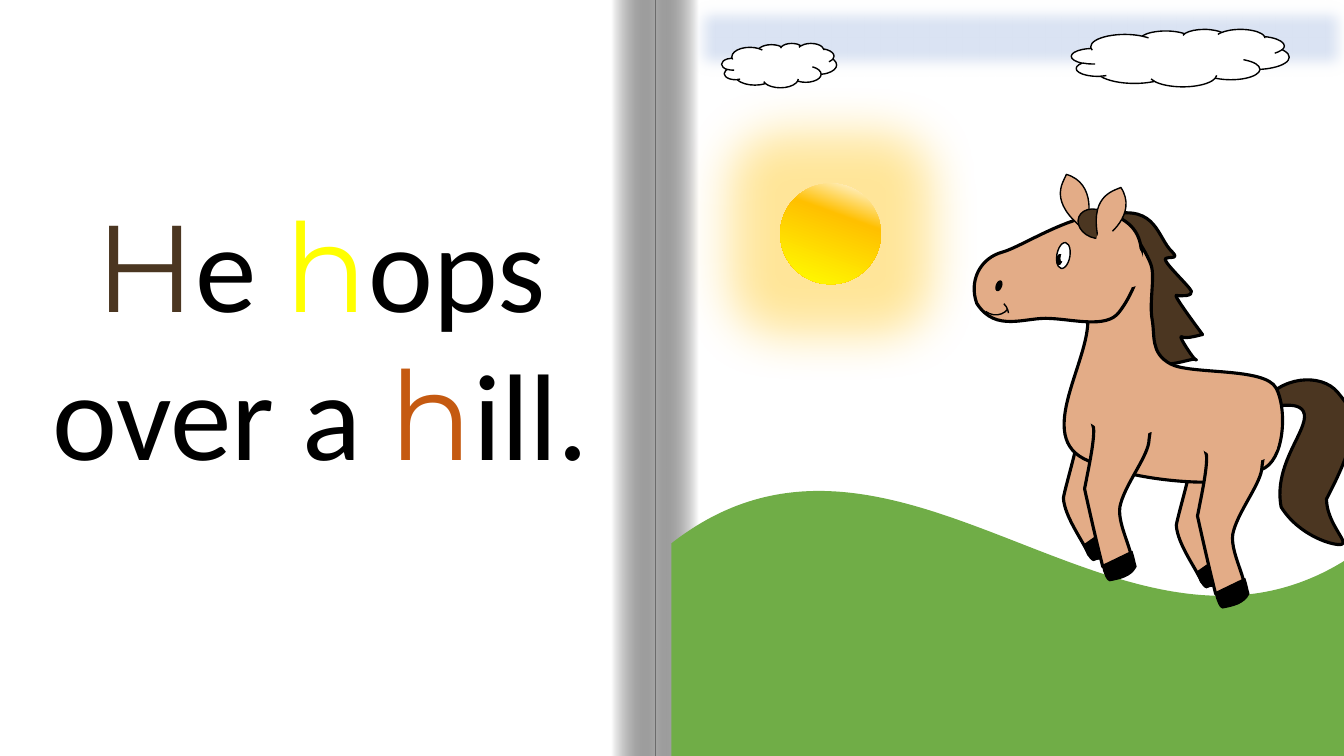
"""Build a picture-book slide: a sentence on the left page, a hopping horse on the right."""
from lxml.etree import SubElement
from pptx import Presentation
from pptx.dml.color import RGBColor
from pptx.enum.shapes import MSO_SHAPE
from pptx.enum.text import MSO_AUTO_SIZE, PP_ALIGN
from pptx.oxml import parse_xml
from pptx.oxml.ns import nsdecls, qn
from pptx.util import Pt

PX = 9144
BLACK = RGBColor(0x00, 0x00, 0x00)
WHITE = RGBColor(0xFF, 0xFF, 0xFF)
COAT = RGBColor(0xE3, 0xAC, 0x87)
MANE = RGBColor(0x4B, 0x36, 0x21)
SKY = RGBColor(0xDA, 0xE3, 0xF3)
GRASS = RGBColor(0x70, 0xAD, 0x47)
GOLD = RGBColor(0xFF, 0xC0, 0x00)
YELLOW = RGBColor(0xFF, 0xFF, 0x00)
RUST = RGBColor(0xC5, 0x5A, 0x11)


def add_preset(parent, kind, box, fill=None, line=None, rotation=0):
    """Add a preset shape; fill is a colour, a (stops, angle) gradient or None."""
    shape = parent.add_shape(kind, *(value * PX for value in box))
    shape.rotation = rotation
    shape.shadow.inherit = False
    if isinstance(fill, RGBColor):
        shape.fill.solid()
        shape.fill.fore_color.rgb = fill
    elif fill:
        stops, angle = fill
        marks = "".join(
            f'<a:gs pos="{at * 1000}"><a:srgbClr val="{color}"><a:alpha val="{alpha * 1000}"/>'
            f"</a:srgbClr></a:gs>" for at, color, alpha in stops)
        gradient = parse_xml(f'<a:gradFill {nsdecls("a")} rotWithShape="1"><a:gsLst>{marks}</a:gsLst>'
                             f'<a:lin ang="{angle * 60000}" scaled="0"/></a:gradFill>')
        shape._element.spPr.find(qn("a:prstGeom")).addnext(gradient)
    else:
        shape.fill.background()
    if line is None:
        shape.line.fill.background()
    else:
        shape.line.color.rgb = line
        shape.line.width = Pt(1)
    return shape


def add_outline(parent, outline, fill, weight, shift=(0, 0)):
    """Add a closed outline: a start point, then lines (2 numbers) and cubic curves (6 numbers)."""
    dx, dy = shift
    anchors = [((segment[-2] + dx) * PX, (segment[-1] + dy) * PX) for segment in outline]
    builder = parent.build_freeform(*anchors[0], scale=1.0)
    builder.add_line_segments(anchors[1:])
    shape = builder.convert_to_shape()
    for segment, edge in zip(outline[1:], list(shape._element.iter(qn("a:lnTo")))):
        if len(segment) == 6:
            end = edge[0]
            edge.tag = qn("a:cubicBezTo")
            for x, y in (segment[0:2], segment[2:4]):
                control = SubElement(edge, qn("a:pt"))
                control.set("x", str((x + dx) * PX - shape.left))
                control.set("y", str((y + dy) * PX - shape.top))
            edge.append(end)
    shape.shadow.inherit = False
    shape.fill.solid()
    shape.fill.fore_color.rgb = fill
    shape.line.color.rgb = BLACK
    shape.line.width = Pt(weight)


presentation = Presentation()
presentation.slide_width = 4000 * PX // 3
presentation.slide_height = 750 * PX
slide = presentation.slides.add_slide(presentation.slide_layouts[6])
slide.background.fill.solid()
slide.background.fill.fore_color.rgb = BLACK

book = slide.shapes.add_group_shape().shapes
add_preset(book, MSO_SHAPE.RECTANGLE, (-1, 0, 1347, 750), WHITE)
gutter_stops = [(0, WHITE, 100), (100, BLACK, 34)]
for left, angle in ((650, 180), (607, 0)):
    add_preset(book, MSO_SHAPE.RECTANGLE, (left, 0, 43, 750), (gutter_stops, angle))

sentence = slide.shapes.add_textbox(-7 * PX, 183 * PX, 650 * PX, 306 * PX).text_frame
sentence.word_wrap = True
sentence.auto_size = MSO_AUTO_SIZE.SHAPE_TO_FIT_TEXT
sentence.paragraphs[0].alignment = PP_ALIGN.CENTER
for wording, font, color in (
        ("H", "Montserrat", MANE), ("e ", "Calibri", BLACK),
        ("h", "Montserrat", YELLOW), ("ops over a ", "Calibri", BLACK),
        ("h", "Montserrat", RUST), ("ill.", "Calibri", BLACK)):
    run = sentence.paragraphs[0].add_run()
    run.text = wording
    run.font.name = font
    run.font.size = Pt(88)
    run.font.color.rgb = color

sky = add_preset(slide.shapes, MSO_SHAPE.RECTANGLE, (679, -5, 667, 85), SKY, SKY)
SubElement(sky._element.spPr.find(qn("a:effectLst")), qn("a:softEdge"), rad=str(17 * PX))
for cloud_box in ((716, 43, 114, 44), (1063, 29, 216, 57)):
    add_preset(slide.shapes, MSO_SHAPE.CLOUD, cloud_box, WHITE, BLACK)
add_preset(slide.shapes, MSO_SHAPE.DOUBLE_WAVE, (666, 485, 1385, 865), GRASS)
sun_stops = [(0, WHITE, 100), (34, GOLD, 100), (100, YELLOW, 100)]
sun = add_preset(slide.shapes, MSO_SHAPE.OVAL, (774, 182, 100, 100), (sun_stops, 110))
glow = SubElement(sun._element.spPr.find(qn("a:effectLst")), qn("a:glow"), rad=str(100 * PX))
glow_color = SubElement(glow, qn("a:srgbClr"), val=str(GOLD))
SubElement(glow_color, qn("a:alpha"), val="40000")

far_leg = [(1104, 399), (1093, 393, 1079, 392, 1070, 396), (1063, 405, 1067, 405, 1071, 418),
           (1073, 431, 1058, 478, 1055, 494), (1056, 513, 1076, 539, 1080, 550),
           (1089, 557, 1094, 553, 1105, 548), (1115, 537, 1087, 507, 1093, 486),
           (1100, 466, 1104, 450, 1104, 436), (1104, 399)]
far_hoof = [(1075, 541), (1078, 547), (1080, 552, 1083, 556, 1085, 556),
            (1096, 552, 1109, 547, 1112, 535), (1111, 532, 1108, 527, 1105, 520), (1075, 541)]
near_leg = [(1144, 407), (1134, 402, 1099, 393, 1090, 396), (1083, 406, 1081, 411, 1085, 425),
            (1086, 438, 1079, 469, 1076, 485), (1086, 530, 1091, 550, 1094, 562),
            (1104, 569, 1109, 568, 1121, 564), (1130, 553, 1105, 519, 1112, 499),
            (1118, 478, 1140, 451, 1140, 436), (1144, 407)]
near_hoof = [(1094, 561), (1095, 566), (1097, 571, 1098, 575, 1101, 576),
             (1111, 574, 1122, 572, 1127, 562), (1126, 559, 1125, 553, 1123, 547), (1094, 561)]
tail = [(1331, 540), (1339, 539, 1316, 519, 1316, 495), (1356, 419, 1342, 408, 1327, 389),
        (1311, 370, 1270, 372, 1250, 403), (1255, 407, 1291, 394, 1294, 411),
        (1297, 428, 1263, 461, 1271, 503), (1289, 532, 1324, 542, 1331, 540)]
mane = [(1102, 213), (1069, 230), (1102, 304), (1118, 353), (1129, 354, 1119, 356, 1146, 356),
        (1152, 369, 1186, 353, 1187, 357), (1187, 361, 1168, 332, 1172, 334),
        (1177, 337, 1191, 332, 1193, 332), (1194, 333, 1163, 292, 1167, 293),
        (1171, 294, 1184, 294, 1182, 289), (1180, 284, 1155, 261, 1156, 257),
        (1158, 254, 1171, 258, 1163, 250), (1148, 236, 1148, 203, 1102, 213)]
body = [(1143, 317), (1140, 300, 1146, 275, 1142, 263), (1138, 251, 1117, 215, 1106, 222),
        (1096, 229, 1085, 270, 1078, 307), (1089, 348, 1025, 429, 1075, 455),
        (1126, 480, 1235, 487, 1251, 466), (1275, 458, 1277, 405, 1266, 385),
        (1255, 364, 1181, 372, 1161, 361), (1141, 350, 1146, 333, 1143, 317)]
head = [(1117, 220), (1086, 196, 1019, 243, 995, 250), (972, 256, 961, 279, 969, 301),
        (988, 331, 1018, 314, 1042, 316), (1065, 317, 1098, 326, 1110, 310),
        (1123, 294, 1149, 243, 1117, 220)]
left_ear = [(1076, 228), (1040, 200, 1054, 182, 1058, 173), (1088, 182, 1081, 219, 1076, 228)]
right_ear = [(1090, 239), (1080, 195, 1103, 190, 1112, 186), (1129, 212, 1099, 236, 1090, 239)]

horse = slide.shapes.add_group_shape().shapes
fore, hind = (0, 0), (112, 27)
for outline, fill, weight, shift in (
        (far_leg, COAT, 2.25, hind), (tail, MANE, 2.25, fore),
        (far_leg, COAT, 2.25, fore), (far_hoof, BLACK, 1, fore),
        (mane, MANE, 2.25, fore), (body, COAT, 2.25, fore),
        (near_leg, COAT, 2.25, fore), (near_hoof, BLACK, 1, fore),
        (head, COAT, 2.25, fore), (left_ear, COAT, 1, fore)):
    add_outline(horse, outline, fill, weight, shift)

add_preset(horse, MSO_SHAPE.OVAL, (1069, 208, 36, 28), MANE, BLACK, 22.4)
add_preset(horse, MSO_SHAPE.OVAL, (1071, 388, 84, 42), COAT, COAT, 9.8)
add_outline(horse, right_ear, COAT, 1)
for oval_box, fill, line, rotation in (
        ((1077, 236, 40, 20), COAT, COAT, 271.7),
        ((1042, 247, 26, 13), WHITE, BLACK, 279.8),
        ((986, 281, 10, 5), BLACK, BLACK, 290.4),
        ((1046, 255, 10, 5), BLACK, BLACK, 279.8),
        ((1104, 254, 40, 20), COAT, COAT, 271.7),
        ((1050, 252, 10, 5), WHITE, None, 290.4)):
    add_preset(horse, MSO_SHAPE.OVAL, oval_box, fill, line, rotation)

for mouth_box, rotation, start in (((971, 282, 32, 30), 217.1, 162), ((969, 298, 32, 30), 132.8, 192.94)):
    mouth = add_preset(horse, MSO_SHAPE.ARC, mouth_box, None, BLACK, rotation)
    mouth.adjustments[0] = start
    mouth._element.spPr.xfrm.set("flipH", "1")

for outline, fill, weight in ((far_hoof, BLACK, 1), (near_leg, COAT, 2.25), (near_hoof, BLACK, 1)):
    add_outline(horse, outline, fill, weight, hind)
add_preset(horse, MSO_SHAPE.OVAL, (1183, 415, 84, 42), COAT, COAT, 9.8)

presentation.save("out.pptx")
